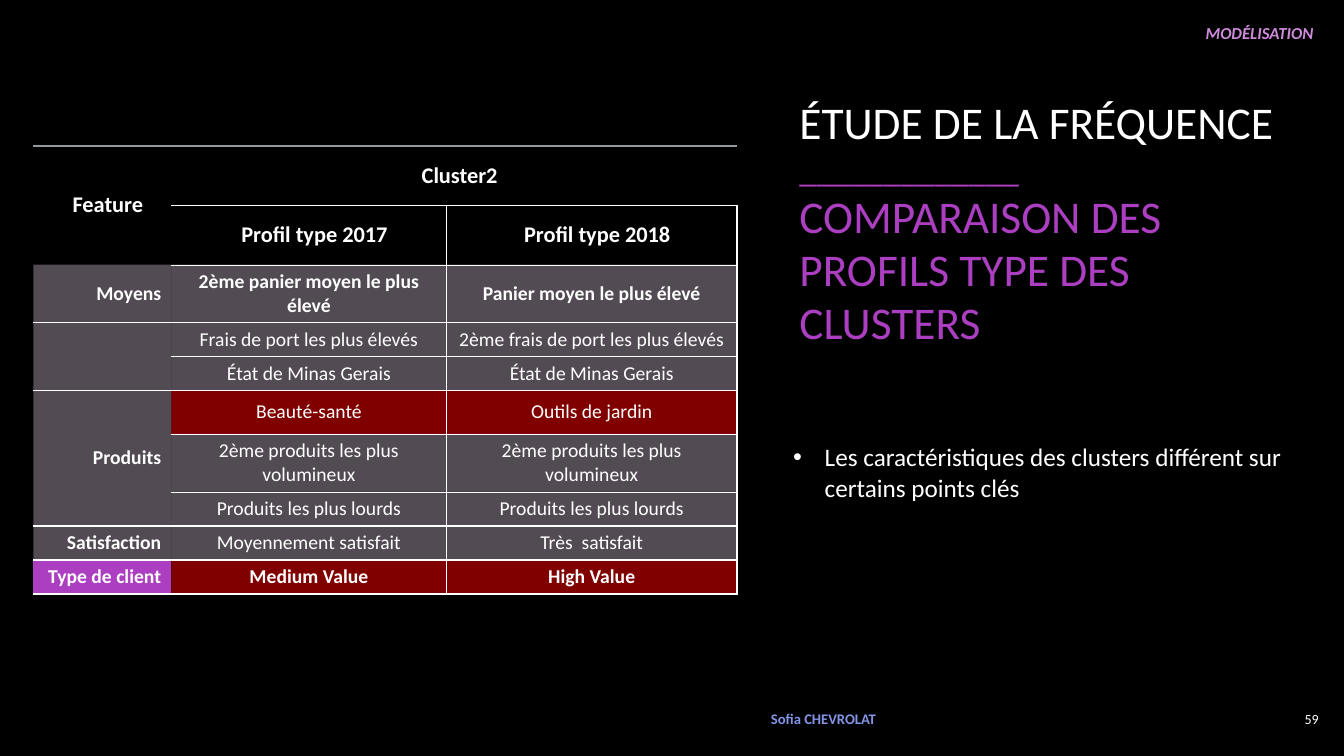
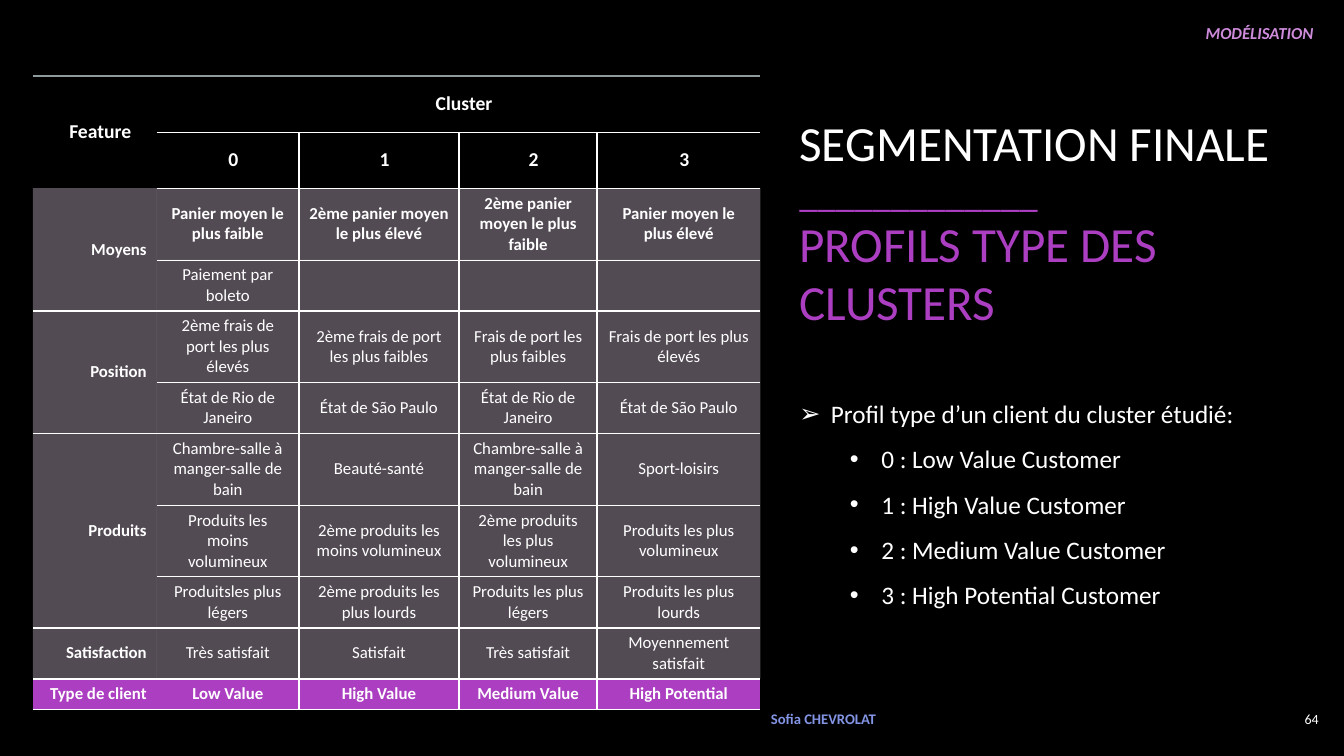
"""Build two dark slides that compare customer cluster profiles."""
import copy
from dataclasses import dataclass
from typing import Any, NamedTuple, Optional

import pptx
import pptx.dml.color
import pptx.enum.text
import pptx.oxml.ns
import pptx.util
from lxml import etree

Pt = pptx.util.Pt
RGB = pptx.dml.color.RGBColor
Align = pptx.enum.text.PP_ALIGN
Anchor = pptx.enum.text.MSO_ANCHOR
Fit = pptx.enum.text.MSO_AUTO_SIZE
qn = pptx.oxml.ns.qn

BLACK = RGB(0x00, 0x00, 0x00)
WHITE = RGB(0xFF, 0xFF, 0xFF)
PURPLE = RGB(0xAC, 0x3E, 0xC1)
LILAC = RGB(0xCD, 0x8B, 0xDA)
BLUE = RGB(0x83, 0x94, 0xE4)
PALE = RGB(0xEE, 0xD8, 0xF3)
RED = RGB(0xFF, 0x00, 0x00)
GREY = RGB(0x8F, 0x9A, 0x9D)
FACE = "Calibri"
PLAIN = "{2D5ABB26-0587-4C30-8999-92F81FD0307C}"


class Tone(NamedTuple):
    """A colour with its opacity in percent."""
    rgb: RGB
    alpha: int = 100


class Edge(NamedTuple):
    """A cell border."""
    width: float
    tone: Tone = Tone(WHITE)


class Box(NamedTuple):
    """A place on the slide, in points."""
    left: float
    top: float
    width: float
    height: float


class Item(NamedTuple):
    """One line of the list."""
    text: str
    mark: str = "•"
    level: int = 0


class Line(NamedTuple):
    """One table row of data cells."""
    height: float
    cells: list[str]
    bold: bool = False
    tone: Tone = Tone(PALE, 35)


class Group(NamedTuple):
    """Table rows that share one label."""
    label: str
    lines: list[Line]
    tone: Tone = Tone(PALE, 35)


@dataclass
class Grid:
    """A whole profile table."""
    left: float
    top: float
    cols: list[float]
    head: str
    names: list[str]
    tall: float
    size: float
    groups: list[Group]
    closed: bool


@dataclass
class Page:
    """The content of one slide."""
    number: str
    first: str
    second: str
    size: float
    rule: float
    list_box: Box
    gap: float
    items: list[Item]
    grid: Grid


HAIR = Edge(0.25)
BOLD = Edge(1.5)
TOP = Edge(1.5, Tone(GREY, 60))
DARK = Tone(RED, 50)
VIVID = Tone(PURPLE)
TITLE = Box(563.8, 49.7, 363.6, 220.3)

PAGES = [
    Page("59", "ÉTUDE DE LA FRÉQUENCE", "COMPARAISON DES PROFILS TYPE DES CLUSTERS",
         32.4, 24.3, Box(559.4, 311.8, 376.6, 72.7), 1.0,
         [Item("Les caractéristiques des clusters différent sur certains points clés")],
         Grid(23.8, 104, [98.6, 196.6, 207.4], "Cluster2",
              ["Profil type 2017", "Profil type 2018"], 42.2, 16, [
                  Group("Moyens", [Line(40.8, ["2ème panier moyen le plus élevé",
                                               "Panier moyen le plus élevé"], True)]),
                  Group("", [Line(24.2, ["Frais de port les plus élevés",
                                         "2ème frais de port les plus élevés"]),
                             Line(24, ["État de Minas Gerais"] * 2)]),
                  Group("Produits", [Line(31, ["Beauté-santé", "Outils de jardin"], tone=DARK),
                                     Line(41, ["2ème produits les plus volumineux"] * 2),
                                     Line(24, ["Produits les plus lourds"] * 2)]),
                  Group("Satisfaction", [Line(24, ["Moyennement satisfait", "Très  satisfait"])]),
                  Group("Type de client", [Line(24, ["Medium Value", "High Value"], True, DARK)],
                        VIVID)], True)),
    Page("64", "SEGMENTATION FINALE", "PROFILS TYPE DES CLUSTERS",
         35.1, 26.3, Box(563.8, 270, 376.6, 193), 1.5,
         [Item("Profil type d’un client du cluster étudié:", "➢"),
          Item("0 : Low Value Customer", level=1),
          Item("1 : High Value Customer", level=1),
          Item("2 : Medium Value Customer", level=1),
          Item("3 : High Potential Customer", level=1)],
         Grid(23.4, 54.4, [88.6, 101.5, 114.5, 98.6, 116.6], "Cluster",
              ["0", "1", "2", "3"], 40, 14, [
                  Group("Moyens", [
                      Line(51, ["Panier moyen le plus faible", "2ème panier moyen le plus élevé",
                                "2ème panier moyen le plus faible",
                                "Panier moyen le plus élevé"], True),
                      Line(35.5, ["Paiement par boleto", "", "", ""])]),
                  Group("Position", [
                      Line(51, ["2ème frais de port les plus élevés",
                                "2ème frais de port les plus faibles",
                                "Frais de port les plus faibles",
                                "Frais de port les plus élevés"]),
                      Line(35.5, ["État de Rio de Janeiro", "État de São Paulo"] * 2)]),
                  Group("Produits", [
                      Line(51, ["Chambre-salle à manger-salle de bain", "Beauté-santé",
                                "Chambre-salle à manger-salle de bain", "Sport-loisirs"]),
                      Line(50.5, ["Produits les moins volumineux",
                                  "2ème produits les moins volumineux",
                                  "2ème produits les plus volumineux",
                                  "Produits les plus volumineux"]),
                      Line(35.5, ["Produitsles plus légers", "2ème produits les plus lourds",
                                  "Produits les plus légers", "Produits les plus lourds"])]),
                  Group("Satisfaction", [
                      Line(35.5, ["Très satisfait", "Satisfait", "Très satisfait",
                                  "Moyennement satisfait"])]),
                  Group("Type de client", [
                      Line(22, ["Low Value", "High Value", "Medium Value", "High Potential"],
                           True, VIVID)], VIVID)], False)),
]


def apply(target: Any, form: dict[str, Any]) -> None:
    """Set each format value on the target."""
    for name, value in form.items():
        setattr(target, name, value)


def write(para: Any, text: str, size: float, rgb: RGB = WHITE, **form: Any) -> Any:
    """Add a run with its font."""
    run = para.add_run()
    run.text = text
    apply(run.font, {"name": FACE, "size": Pt(size), **form})
    run.font.color.rgb = rgb
    return run


def place(shape: Any, box: Box) -> None:
    """Move a shape to its box."""
    apply(shape, {name: Pt(value) for name, value in box._asdict().items()})


def paint(node: Any, tone: Tone) -> None:
    """Add a solid fill to an XML node."""
    fill = etree.SubElement(node, qn("a:solidFill"))
    tint = etree.SubElement(fill, qn("a:srgbClr"), val=str(tone.rgb))
    if tone.alpha < 100:
        etree.SubElement(tint, qn("a:alpha"), val=str(tone.alpha * 1000))


def dress(cell: Any, text: str, size: float, bold: bool, align: Any,
          edges: dict[str, Optional[Edge]], tone: Optional[Tone] = None) -> None:
    """Fill one cell with text, borders and colour."""
    cell.vertical_anchor = Anchor.MIDDLE
    para = cell.text_frame.paragraphs[0]
    para.alignment = align
    if text:
        write(para, text, size, bold=bold)
    else:
        etree.SubElement(para._p, qn("a:endParaRPr"), sz=str(int(size * 100)))
    props = cell._tc.get_or_add_tcPr()
    for side in "LRTB":
        edge = edges.get(side)
        if edge:
            line = etree.SubElement(props, qn("a:ln" + side), w=str(int(Pt(edge.width))))
            paint(line, edge.tone)
    if tone:
        paint(props, tone)


def draw_head(table: Any, grid: Grid) -> None:
    """Draw the two header rows."""
    last = len(grid.cols) - 1
    pad = {"margin_left": Pt(19.4), "margin_top": Pt(11.5),
           "margin_right": Pt(11.5), "margin_bottom": Pt(11.5)}
    texts = [["Feature", grid.head] + [""] * (last - 1), [""] + grid.names]
    for row, line in enumerate(texts):
        for col, text in enumerate(line):
            cell = table.cell(row, col)
            apply(cell, pad)
            thin = HAIR if col else None
            edges = {"T": thin, **upright(grid, col)} if row else {"T": TOP, "B": thin}
            dress(cell, text, grid.size, True, Align.CENTER, edges)
    table.cell(0, 0).merge(table.cell(1, 0))
    table.cell(0, 1).merge(table.cell(0, last))


def upright(grid: Grid, col: int) -> dict[str, Optional[Edge]]:
    """Give the side borders of a column."""
    last = len(grid.cols) - 1
    right = 0 < col < last or (col == last and grid.closed)
    return {"L": BOLD if col > 1 else None, "R": BOLD if right else None}


def draw_grid(slide: Any, grid: Grid) -> None:
    """Draw the profile table."""
    highs = [grid.tall] * 2 + [line.height for group in grid.groups for line in group.lines]
    frame = slide.shapes.add_table(len(highs), len(grid.cols), Pt(grid.left), Pt(grid.top),
                                   Pt(sum(grid.cols)), Pt(sum(highs)))
    table = frame.table
    apply(table, {"first_row": False, "horz_banding": False})
    table._tbl.tblPr.find(qn("a:tableStyleId")).text = PLAIN
    for col, width in zip(table.columns, grid.cols):
        col.width = Pt(width)
    for row, high in zip(table.rows, highs):
        row.height = Pt(high)
    draw_head(table, grid)
    size = grid.size - 2
    start = 2
    for group in grid.groups:
        end = start + len(group.lines) - 1
        for row, line in enumerate(group.lines, start):
            for col, text in enumerate([group.label if row == start else ""] + line.cells):
                thin = HAIR if col else None
                edges = {**upright(grid, col), "T": BOLD if row == start else thin,
                         "B": BOLD if row == end else thin}
                if row == 2:
                    edges["T"] = None
                dress(table.cell(row, col), text, size, line.bold if col else True,
                      Align.CENTER if col else Align.RIGHT, edges,
                      line.tone if col else group.tone)
        if end > start:
            table.cell(start, 0).merge(table.cell(end, 0))
        start = end + 1


def draw_title(shape: Any, page: Page) -> None:
    """Write the title in two colours."""
    place(shape, TITLE)
    frame = shape.text_frame
    apply(frame, {"word_wrap": True, "auto_size": Fit.NONE, "vertical_anchor": Anchor.MIDDLE})
    para = frame.paragraphs[0]
    run = write(para, page.first, page.size)
    para.add_line_break()
    para._p.find(qn("a:br")).append(copy.deepcopy(run._r.get_or_add_rPr()))
    write(para, "_" * 13, page.rule, PURPLE)
    write(frame.add_paragraph(), page.second, page.size, PURPLE)
    for para in frame.paragraphs:
        apply(para, {"alignment": Align.LEFT, "line_spacing": 0.98, "space_before": Pt(0)})


def draw_list(shape: Any, page: Page) -> None:
    """Write the bulleted list."""
    place(shape, page.list_box)
    frame = shape.text_frame
    apply(frame, {"word_wrap": True, "auto_size": Fit.NONE, "vertical_anchor": Anchor.TOP})
    for rank, item in enumerate(page.items):
        para = frame.add_paragraph() if rank else frame.paragraphs[0]
        apply(para, {"level": item.level, "alignment": Align.LEFT,
                     "line_spacing": page.gap, "space_before": Pt(0)})
        props = para._p.get_or_add_pPr()
        props.set("marL", str(int(Pt(22.5 + 36 * item.level))))
        props.set("indent", str(int(Pt(-22.5))))
        etree.SubElement(props, qn("a:buFont"), typeface="Arial")
        etree.SubElement(props, qn("a:buChar"), char=item.mark)
        write(para, item.text, 18)


def label(slide: Any, box: Box, text: str, size: float, rgb: RGB, align: Any,
          **form: Any) -> None:
    """Add a small line of text."""
    frame = slide.shapes.add_textbox(*map(Pt, box)).text_frame
    apply(frame, {"word_wrap": True, "vertical_anchor": Anchor.MIDDLE})
    frame.paragraphs[0].alignment = align
    write(frame.paragraphs[0], text, size, rgb, **form)


def draw_page(deck: Any, page: Page) -> None:
    """Draw one slide."""
    slide = deck.slides.add_slide(deck.slide_layouts[1])
    draw_title(slide.shapes.title, page)
    draw_list(slide.placeholders[1], page)
    draw_grid(slide, page.grid)
    label(slide, Box(552.2, 12.2, 393.1, 21.8), "MODÉLISATION", 12, LILAC, Align.RIGHT,
          bold=True, italic=True)
    label(slide, Box(543.6, 498.6, 126.7, 29.5), "Sofia CHEVROLAT", 10.5, BLUE, Align.LEFT,
          bold=True)
    label(slide, Box(905.8, 498.6, 43.2, 29.5), page.number, 10, WHITE, Align.RIGHT)


def main() -> None:
    """Build and save the deck."""
    deck = pptx.Presentation()
    apply(deck, {"slide_width": Pt(960), "slide_height": Pt(540)})
    fill = deck.slide_master.background.fill
    fill.solid()
    fill.fore_color.rgb = BLACK
    for page in PAGES:
        draw_page(deck, page)
    deck.save("out.pptx")


if __name__ == "__main__":
    main()
